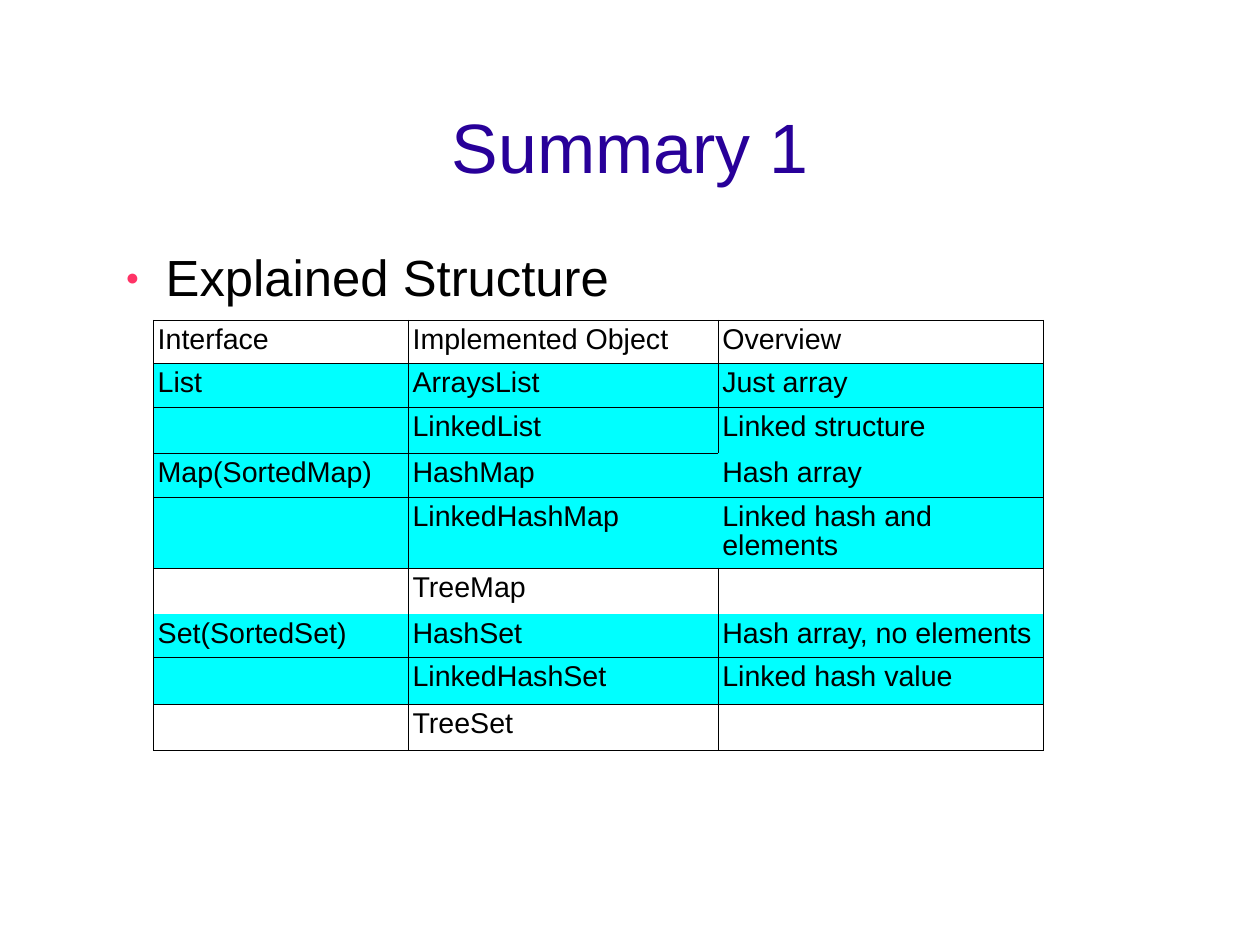
from dataclasses import dataclass

from lxml.etree import SubElement
from pptx import Presentation
from pptx.dml.color import RGBColor
from pptx.enum.text import MSO_ANCHOR as Anchor, MSO_AUTO_SIZE as AutoSize, PP_ALIGN as Align
from pptx.oxml import parse_xml
from pptx.oxml.ns import nsdecls, qn
from pptx.util import Inches, Mm, Pt

TITLE = "Summary 1"
BULLET = "Explained Structure"
ROWS = [
    ("Interface", "Implemented Object", "Overview"),
    ("List", "ArraysList", "Just array"),
    ("", "LinkedList", "Linked structure"),
    ("Map(SortedMap)", "HashMap", "Hash array"),
    ("", "LinkedHashMap", "Linked hash and elements"),
    ("", "TreeMap", ""),
    ("Set(SortedSet)", "HashSet", "Hash array, no elements"),
    ("", "LinkedHashSet", "Linked hash value"),
    ("", "TreeSet", ""),
]
PLAIN_ROWS = {0, 5, 8}
OPEN_BELOW = {(2, 2), (5, 0), (5, 1), (5, 2)}
OPEN_RIGHT = {(3, 1), (4, 1)}

SLIDE_SIZE_MM = (280, 210)
TITLE_AREA = (0.79, 0.65, 9.45, 1.28)
BODY_AREA = (0.98, 2.17, 9.06, 4.46)
TABLE_CORNER = (1.34, 2.8)
COLUMN_WIDTHS = (2.23, 2.71, 2.85)
ROW_HEIGHT, TALL_ROW_HEIGHT, TALL_ROW = 0.38, 0.62, 4


@dataclass(frozen=True)
class Theme:
    font: str = "Arial"
    title: str = "280099"
    text: str = "000000"
    bullet: str = "FF3366"
    shaded: str = "00FFFF"
    plain: str = "FFFFFF"
    title_size: int = 44
    body_size: int = 32
    table_size: int = 18
    line_spacing: float = 0.93


THEME = Theme()


def apply(target, settings):
    for name, value in settings.items():
        setattr(target, name, value)


def write(para, text, size, color):
    para.line_spacing = THEME.line_spacing
    if not text:
        SubElement(para._p, qn("a:endParaRPr"), sz=str(size * 100))
        return
    span = para.add_run()
    span.text = text
    apply(span.font, {"name": THEME.font, "size": Pt(size), "bold": False})
    span.font.color.rgb = RGBColor.from_string(color)


def set_frame(frame, top, anchor):
    apply(frame, {"margin_left": 0, "margin_right": 0, "margin_top": Inches(top),
                  "margin_bottom": 0, "word_wrap": True,
                  "auto_size": AutoSize.NONE, "vertical_anchor": anchor})


def add_bullet(para):
    properties = para._p.get_or_add_pPr()
    properties.set("marL", str(Inches(0.47)))
    properties.set("indent", str(Inches(-0.35)))
    color = SubElement(properties, qn("a:buClr"))
    SubElement(color, qn("a:srgbClr"), val=THEME.bullet)
    SubElement(properties, qn("a:buSzPct"), val="45000")
    SubElement(properties, qn("a:buFont"), typeface=THEME.font)
    SubElement(properties, qn("a:buChar"), char="●")


def set_borders(cell, row, column):
    hidden = {
        "L": (row, column - 1) in OPEN_RIGHT,
        "R": (row, column) in OPEN_RIGHT,
        "T": (row - 1, column) in OPEN_BELOW,
        "B": (row, column) in OPEN_BELOW,
    }
    solid = f'<a:solidFill><a:srgbClr val="{THEME.text}"/></a:solidFill>'
    properties = cell._tc.get_or_add_tcPr()
    for index, (side, is_hidden) in enumerate(hidden.items()):
        paint = "<a:noFill/>" if is_hidden else solid
        properties.insert(index, parse_xml(
            f'<a:ln{side} {nsdecls("a")} w="{Pt(0.06)}">{paint}</a:ln{side}>'))


def fill_cell(cell, text, row, column):
    apply(cell, {"margin_left": Inches(0.04), "margin_right": Inches(0.04),
                 "margin_top": Inches(0.05), "margin_bottom": Inches(0.05)})
    cell.fill.solid()
    color = THEME.plain if row in PLAIN_ROWS else THEME.shaded
    cell.fill.fore_color.rgb = RGBColor.from_string(color)
    set_borders(cell, row, column)
    write(cell.text_frame.paragraphs[0], text, THEME.table_size, THEME.text)


def add_structure_table(page):
    heights = [TALL_ROW_HEIGHT if row == TALL_ROW else ROW_HEIGHT for row in range(len(ROWS))]
    area = (*TABLE_CORNER, sum(COLUMN_WIDTHS), sum(heights))
    table = page.shapes.add_table(len(ROWS), len(COLUMN_WIDTHS), *map(Inches, area)).table
    apply(table, {"first_row": False, "horz_banding": False})
    for column, width in zip(table.columns, COLUMN_WIDTHS):
        column.width = Inches(width)
    for row, (texts, height) in enumerate(zip(ROWS, heights)):
        table.rows[row].height = Inches(height)
        for column, text in enumerate(texts):
            fill_cell(table.cell(row, column), text, row, column)


def main():
    deck = Presentation()
    deck.slide_width, deck.slide_height = map(Mm, SLIDE_SIZE_MM)
    page = deck.slides.add_slide(deck.slide_layouts[5])

    title = page.shapes.title
    apply(title, dict(zip(("left", "top", "width", "height"), map(Inches, TITLE_AREA))))
    set_frame(title.text_frame, 0.04, Anchor.MIDDLE)
    heading = title.text_frame.paragraphs[0]
    heading.alignment = Align.CENTER
    write(heading, TITLE, THEME.title_size, THEME.title)

    body = page.shapes.add_textbox(*map(Inches, BODY_AREA))
    set_frame(body.text_frame, 0.03, Anchor.TOP)
    para = body.text_frame.paragraphs[0]
    add_bullet(para)
    write(para, BULLET, THEME.body_size, THEME.text)
    para.space_after = Pt(14.3)

    add_structure_table(page)
    deck.save("out.pptx")


if __name__ == "__main__":
    main()
